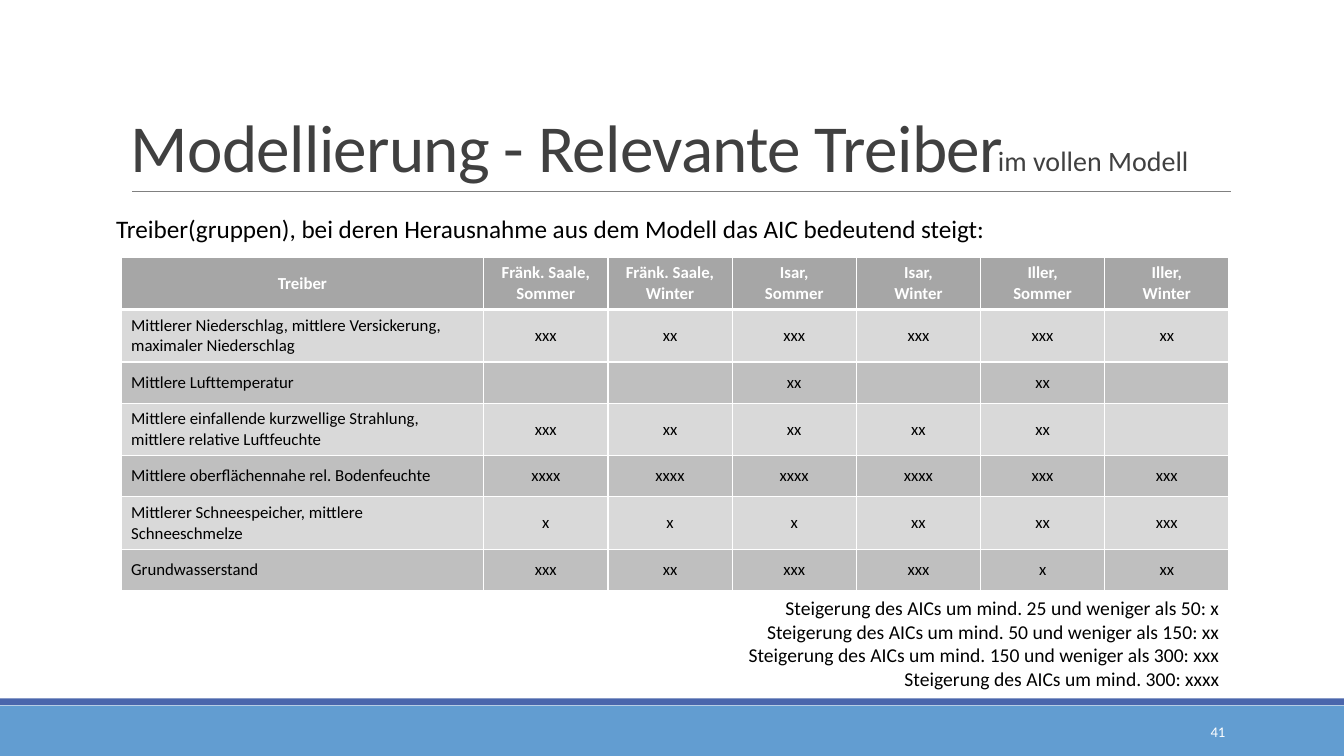
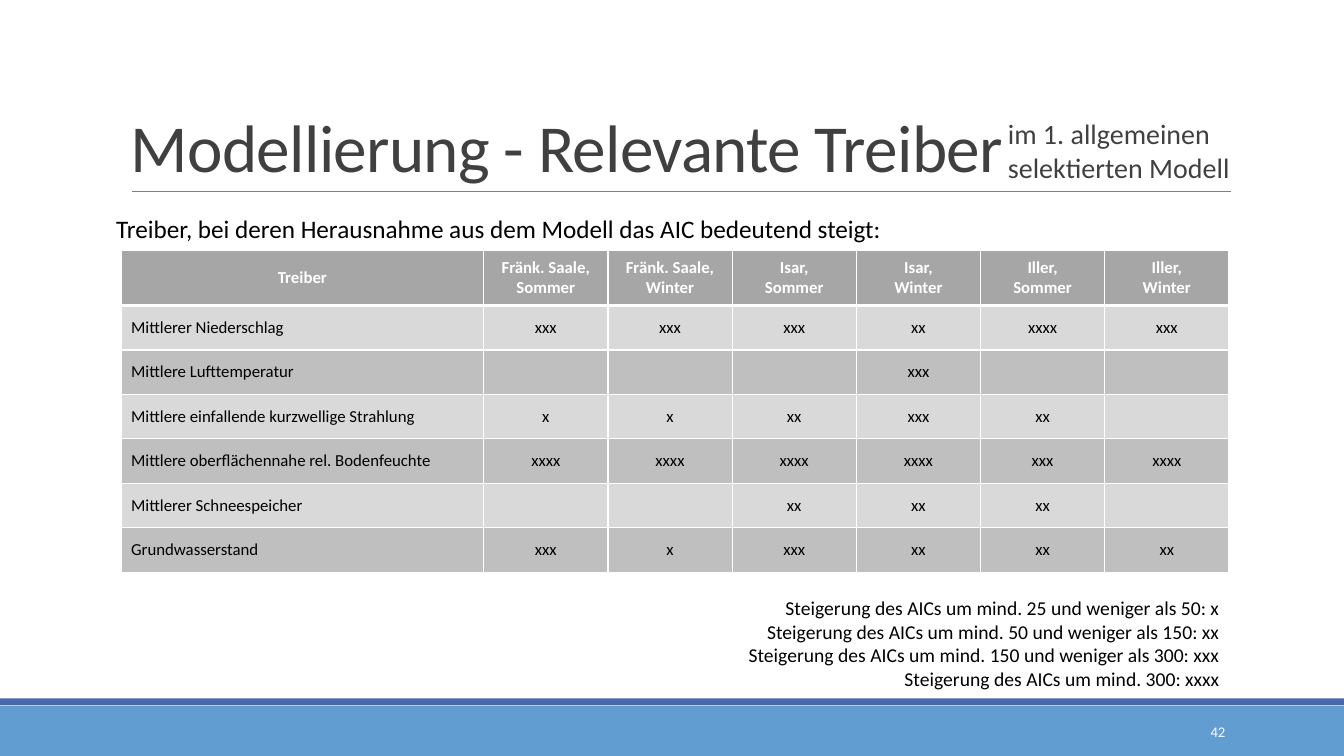
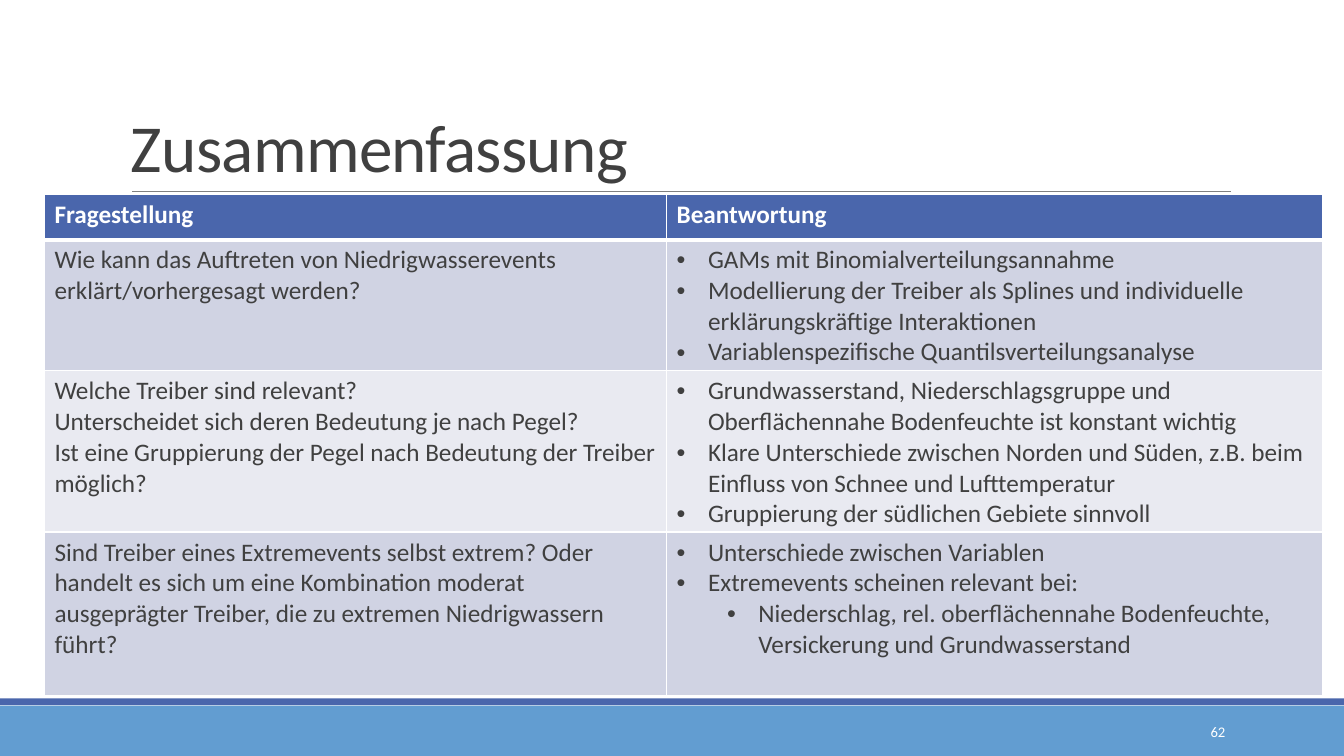
from dataclasses import dataclass

from lxml.etree import SubElement
from pptx import Presentation
from pptx.dml.color import RGBColor
from pptx.enum.shapes import MSO_CONNECTOR, MSO_SHAPE
from pptx.enum.text import MSO_ANCHOR, PP_ALIGN
from pptx.oxml.ns import qn
from pptx.util import Cm, Pt


@dataclass(frozen=True)
class Theme:
    font: str = "Calibri"
    title: float = 48
    subtitle: float = 20
    body: float = 18
    legend: float = 14
    cell: float = 12
    number: float = 10.5
    text: str = "404040"
    black: str = "000000"
    white: str = "FFFFFF"
    rule: str = "808080"
    footer: str = "629DD1"
    accent: str = "4A66AC"
    grey_head: str = "A6A6A6"
    grey_rows: tuple = ("D9D9D9", "BFBFBF")
    blue_rows: tuple = ("D0D3E3", "E9EAF1")


T = Theme()
WIDTH, HEIGHT = 33.87, 19.05

DRIVER_HEAD = [["Treiber"]] + [
    [f"{river},", season]
    for river in ("Fränk. Saale", "Isar", "Iller")
    for season in ("Sommer", "Winter")
]
LEGEND = [
    "Steigerung des AICs um mind. 25 und weniger als 50: x",
    "Steigerung des AICs um mind. 50 und weniger als 150: xx",
    "Steigerung des AICs um mind. 150 und weniger als 300: xxx",
    "Steigerung des AICs um mind. 300: xxxx",
]
DRIVER_SLIDES = [
    {
        "number": "41",
        "subtitle": ["im vollen Modell"],
        "subtitle_at": (25.15, 3.48),
        "intro": "Treiber(gruppen), bei deren Herausnahme aus dem Modell "
                 "das AIC bedeutend steigt:",
        "top": 6.48,
        "heights": [1.32, 1.32, 1.04, 1.32, 1.04, 1.32, 1.04],
        "rows": [
            ("Mittlerer Niederschlag, mittlere Versickerung, maximaler Niederschlag",
             "xxx", "xx", "xxx", "xxx", "xxx", "xx"),
            ("Mittlere Lufttemperatur", "", "", "xx", "", "xx", ""),
            ("Mittlere einfallende kurzwellige Strahlung, mittlere relative Luftfeuchte",
             "xxx", "xx", "xx", "xx", "xx", ""),
            ("Mittlere oberflächennahe rel. Bodenfeuchte",
             "xxxx", "xxxx", "xxxx", "xxxx", "xxx", "xxx"),
            ("Mittlerer Schneespeicher, mittlere Schneeschmelze",
             "x", "x", "x", "xx", "xx", "xxx"),
            ("Grundwasserstand", "xxx", "xx", "xxx", "xxx", "x", "xx"),
        ],
    },
    {
        "number": "42",
        "subtitle": ["im 1. allgemeinen", "selektierten Modell"],
        "subtitle_at": (25.15, 2.82),
        "intro": "Treiber, bei deren Herausnahme aus dem Modell "
                 "das AIC bedeutend steigt:",
        "top": 6.3,
        "heights": [1.4] + [1.12] * 6,
        "rows": [
            ("Mittlerer Niederschlag", "xxx", "xxx", "xxx", "xx", "xxxx", "xxx"),
            ("Mittlere Lufttemperatur", "", "", "", "xxx", "", ""),
            ("Mittlere einfallende kurzwellige Strahlung",
             "x", "x", "xx", "xxx", "xx", ""),
            ("Mittlere oberflächennahe rel. Bodenfeuchte",
             "xxxx", "xxxx", "xxxx", "xxxx", "xxx", "xxxx"),
            ("Mittlerer Schneespeicher", "", "", "xx", "xx", "xx", ""),
            ("Grundwasserstand", "xxx", "x", "xxx", "xx", "xx", "xx"),
        ],
    },
]

SUMMARY_HEAD = ["Fragestellung", "Beantwortung"]
# Answers are (level, text) pairs.
SUMMARY = [
    (["Wie kann das Auftreten von Niedrigwasserevents erklärt/vorhergesagt werden?"],
     [(0, "GAMs mit Binomialverteilungsannahme"),
      (0, "Modellierung der Treiber als Splines und individuelle "
          "erklärungskräftige Interaktionen"),
      (0, "Variablenspezifische Quantilsverteilungsanalyse")]),
    (["Welche Treiber sind relevant?",
      "Unterscheidet sich deren Bedeutung je nach Pegel?",
      "Ist eine Gruppierung der Pegel nach Bedeutung der Treiber möglich?"],
     [(0, "Grundwasserstand, Niederschlagsgruppe und Oberflächennahe "
          "Bodenfeuchte ist konstant wichtig"),
      (0, "Klare Unterschiede zwischen Norden und Süden, z.B. beim Einfluss "
          "von Schnee und Lufttemperatur"),
      (0, "Gruppierung der südlichen Gebiete sinnvoll")]),
    (["Sind Treiber eines Extremevents selbst extrem? Oder handelt es sich um "
      "eine Kombination moderat ausgeprägter Treiber, die zu extremen "
      "Niedrigwassern führt?"],
     [(0, "Unterschiede zwischen Variablen"),
      (0, "Extremevents scheinen relevant bei:"),
      (1, "Niederschlag, rel. oberflächennahe Bodenfeuchte, Versickerung und "
          "Grundwasserstand")]),
]


def rgb(color):
    return RGBColor.from_string(color)


def add_bullet(p, level):
    p.level = level
    pPr = p._p.get_or_add_pPr()
    pPr.set("marL", str(Cm(0.79 + 1.27 * level)))
    pPr.set("indent", str(-Cm(0.79)))
    SubElement(pPr, qn("a:buFont")).set("typeface", "Arial")
    SubElement(pPr, qn("a:buChar")).set("char", "•")


def write(tf, lines, size, color, bold=False, align=PP_ALIGN.LEFT):
    """Fill a text frame; a line given as (level, text) gets a bullet."""
    for i, line in enumerate(lines):
        p = tf.paragraphs[0] if i == 0 else tf.add_paragraph()
        p.alignment = align
        if isinstance(line, tuple):
            level, line = line
            add_bullet(p, level)
        r = p.add_run()
        r.text = line
        r.font.name, r.font.size, r.font.bold = T.font, Pt(size), bold
        r.font.color.rgb = rgb(color)


def add_text(slide, box, lines, size, color, align=PP_ALIGN.LEFT,
             anchor=MSO_ANCHOR.TOP, inset=0.25):
    tf = slide.shapes.add_textbox(*map(Cm, box)).text_frame
    tf.word_wrap = True
    tf.vertical_anchor = anchor
    tf.margin_left = tf.margin_right = Cm(inset)
    write(tf, lines, size, color, align=align)
    return tf


def add_band(slide, top, height, color):
    sp = slide.shapes.add_shape(MSO_SHAPE.RECTANGLE, 0, Cm(top), Cm(WIDTH), Cm(height))
    sp.shadow.inherit = False
    sp.fill.solid()
    sp.fill.fore_color.rgb = rgb(color)
    sp.line.fill.background()


def new_slide(prs, title, number):
    """Add a slide with the shared bands, title, rule and slide number."""
    slide = prs.slides.add_slide(prs.slide_layouts[6])
    add_band(slide, 17.78, HEIGHT - 17.78, T.footer)
    add_band(slide, 17.6, 0.17, T.accent)
    rule = slide.shapes.add_connector(
        MSO_CONNECTOR.STRAIGHT, Cm(3.33), Cm(4.82), Cm(31.01), Cm(4.82))
    rule.line.color.rgb = rgb(T.rule)
    rule.line.width = Pt(0.5)
    SubElement(rule._element.spPr, qn("a:effectLst"))

    tf = add_text(slide, (3.05, 0.8, 27.94, 4.03), [title], T.title, T.text,
                  anchor=MSO_ANCHOR.BOTTOM)
    p = tf.paragraphs[0]
    p.line_spacing = 0.85
    p.runs[0].font._element.set("spc", "-50")
    add_text(slide, (27.5, 17.93, 3.63, 1.01), [number], T.number, T.white,
             align=PP_ALIGN.RIGHT, anchor=MSO_ANCHOR.MIDDLE)
    return slide


def set_borders(cell, top, bottom):
    tcPr = cell._tc.get_or_add_tcPr()
    for i, (side, width) in enumerate(
            (("L", 1), ("R", 1), ("T", top), ("B", bottom))):
        ln = tcPr.makeelement(qn(f"a:ln{side}"), {"w": str(Pt(width))})
        fill = SubElement(ln, qn("a:solidFill"))
        SubElement(fill, qn("a:srgbClr")).set("val", T.white)
        tcPr.insert(i, ln)


def add_grid(slide, left, top, widths, heights, head_fill, row_fills):
    """Add a table with fills and white borders, ready for text."""
    table = slide.shapes.add_table(
        len(heights), len(widths), Cm(left), Cm(top),
        Cm(sum(widths)), Cm(sum(heights))).table
    for col, width in zip(table.columns, widths):
        col.width = Cm(width)
    for i, (row, height) in enumerate(zip(table.rows, heights)):
        row.height = Cm(height)
        for cell in row.cells:
            cell.fill.solid()
            cell.fill.fore_color.rgb = rgb(row_fills[(i - 1) % 2] if i else head_fill)
            set_borders(cell, 3 if i == 1 else 1, 3 if i == 0 else 1)
    return table


def add_driver_slide(prs, data):
    slide = new_slide(prs, "Modellierung - Relevante Treiber", data["number"])
    two_lines = len(data["subtitle"]) > 1
    x, y = data["subtitle_at"]
    add_text(slide, (x + 0.25 if two_lines else x - 0.25, y, 7, 1.12 * len(data["subtitle"])),
             data["subtitle"], T.subtitle, T.text, inset=0 if two_lines else 0.25)
    add_text(slide, (2.68, 5.25, 23.8, 1.02), [data["intro"]], T.body, T.black)
    add_text(slide, (13.74, 14.9, 17.25, 2.65), LEGEND, T.legend, T.black,
             align=PP_ALIGN.RIGHT)
    table = add_grid(slide, 3.05, data["top"], [9.14] + [3.13] * 6,
                     data["heights"], T.grey_head, T.grey_rows)
    body = [[[text] if text else [] for text in row] for row in data["rows"]]
    for i, row in enumerate([DRIVER_HEAD] + body):
        for j, lines in enumerate(row):
            cell = table.cell(i, j)
            cell.vertical_anchor = MSO_ANCHOR.MIDDLE
            write(cell.text_frame, lines, T.cell, T.black if i else T.white,
                  bold=i == 0, align=PP_ALIGN.LEFT if i and j == 0 else PP_ALIGN.CENTER)


def add_summary_slide(prs):
    slide = new_slide(prs, "Zusammenfassung", "62")
    table = add_grid(slide, 1.12, 4.9, [15.68, 16.52], [1.14, 3.23, 4.04, 4.11],
                     T.accent, T.blue_rows)
    for i, row in enumerate([[[text] for text in SUMMARY_HEAD]] + SUMMARY):
        for j, lines in enumerate(row):
            write(table.cell(i, j).text_frame, lines, T.body,
                  T.text if i else T.white, bold=i == 0)


def main():
    prs = Presentation()
    prs.slide_width, prs.slide_height = Cm(WIDTH), Cm(HEIGHT)
    for data in DRIVER_SLIDES:
        add_driver_slide(prs, data)
    add_summary_slide(prs)
    prs.save("out.pptx")


if __name__ == "__main__":
    main()
